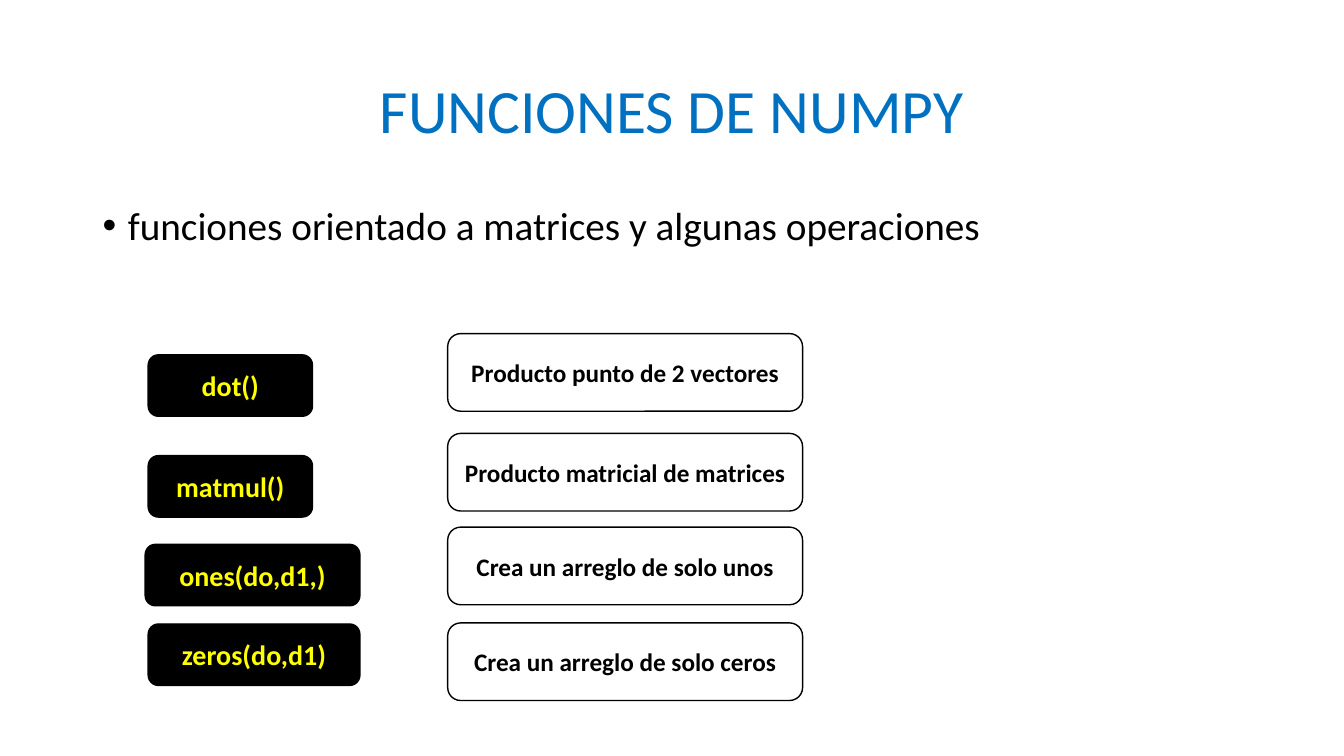
from pptx import Presentation
from pptx.dml.color import RGBColor
from pptx.enum.shapes import MSO_SHAPE as Shape
from pptx.enum.text import MSO_ANCHOR as Anchor, PP_ALIGN as Align
from pptx.oxml.ns import qn
from pptx.util import Inches, Pt
from lxml.etree import SubElement

# Content
TITLE = "FUNCIONES DE NUMPY"
INTRO = "funciones orientado a matrices y algunas operaciones"
# name, its left, top and width, then the meaning and its top
ROWS = [
    ("dot()", 1.47, 3.52, 1.63, "Producto punto de 2 vectores", 3.31),
    ("matmul()", 1.47, 4.52, 1.63, "Producto matricial de matrices", 4.3),
    ("ones(do,d1,)", 1.44, 5.4, 2.13, "Crea un arreglo de solo unos", 5.23),
    ("zeros(do,d1)", 1.47, 6.19, 2.1, "Crea un arreglo de solo ceros", 6.18),
]

# Grid
WIDE, HIGH = 13.33, 7.5
EDGE = 0.92
SPAN = WIDE - 2 * EDGE
NAME_H = 0.61
MEAN_X, MEAN_W, MEAN_H = 4.44, 3.52, 0.77
BLACK, BLUE, YELLOW = "000000", "0070C0", "FFFF00"


def color(code):
    return RGBColor.from_string(code)


def write(frame, text, size, tint, bold=False, align=Align.CENTER):
    frame.text = text
    frame.word_wrap = True
    para = frame.paragraphs[0]
    para.alignment = align
    font = para.runs[0].font
    font.name, font.size, font.bold = "Calibri", Pt(size), bold
    font.color.rgb = color(tint)
    return para


def add_box(slide, area, text, size, tint, fill=None):
    box = slide.shapes.add_shape(Shape.ROUNDED_RECTANGLE, *map(Inches, area))
    box.shadow.inherit = False
    if fill:
        box.fill.solid()
        box.fill.fore_color.rgb = color(fill)
    else:
        box.fill.background()
    box.line.color.rgb = color(BLACK)
    box.line.width = Pt(1)
    box.text_frame.vertical_anchor = Anchor.MIDDLE
    write(box.text_frame, text, size, tint, bold=True)


def main():
    deck = Presentation()
    deck.slide_width, deck.slide_height = Inches(WIDE), Inches(HIGH)
    slide = deck.slides.add_slide(deck.slide_layouts[5])

    # Title
    title = slide.shapes.title
    title.left, title.top = Inches(EDGE), Inches(0.4)
    title.width, title.height = Inches(SPAN), Inches(1.45)
    title.text_frame.vertical_anchor = Anchor.MIDDLE
    write(title.text_frame, TITLE, 44, BLUE).line_spacing = 0.9

    # Bulleted introduction
    area = map(Inches, (EDGE, 2, SPAN, 1))
    intro = slide.shapes.add_textbox(*area)
    para = write(intro.text_frame, INTRO, 28, BLACK, align=Align.LEFT)
    para.line_spacing, para.space_before = 0.9, Pt(10)
    props = para._p.get_or_add_pPr()
    props.set("marL", str(Inches(0.25)))
    props.set("indent", str(-Inches(0.25)))
    SubElement(props, qn("a:buFont"), typeface="Arial")
    SubElement(props, qn("a:buChar"), char="•")

    # Functions and their meanings
    for name, left, top, width, meaning, mean_y in ROWS:
        add_box(slide, (left, top, width, NAME_H), name, 20, YELLOW, BLACK)
        add_box(slide, (MEAN_X, mean_y, MEAN_W, MEAN_H), meaning, 18, BLACK)

    deck.save("out.pptx")


if __name__ == "__main__":
    main()
